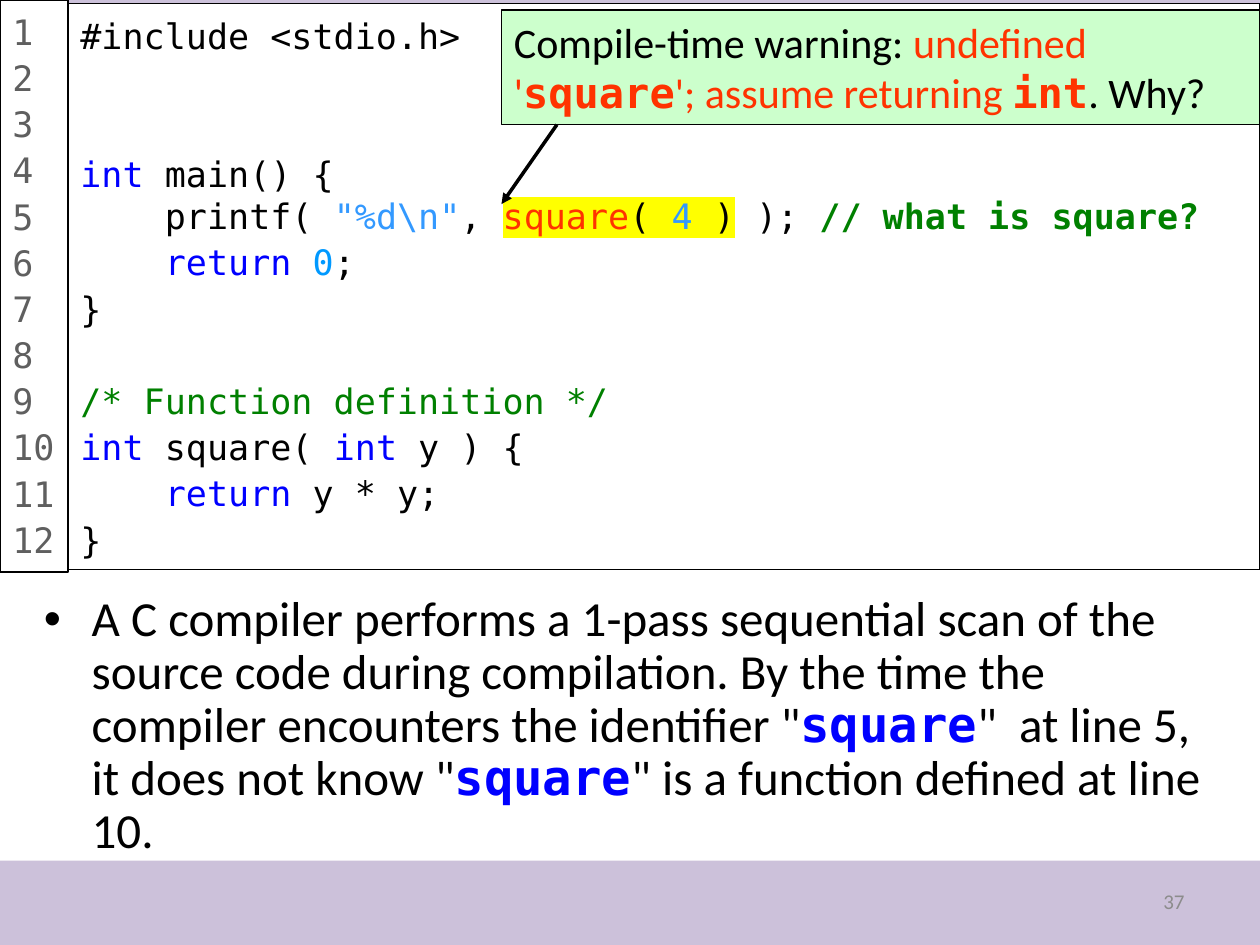
from dataclasses import dataclass
from typing import Optional

from lxml.etree import SubElement
from pptx import Presentation
from pptx.dml.color import RGBColor
from pptx.enum.shapes import MSO_CONNECTOR, MSO_SHAPE
from pptx.enum.text import MSO_ANCHOR, PP_ALIGN
from pptx.oxml import parse_xml
from pptx.oxml.ns import nsdecls, qn
from pptx.util import Inches, Pt

SANS, MONO = "Calibri", "DejaVu Sans Mono"
BLACK, GRAY, BLUE, RED = "000000", "5F5F5F", "0000FF", "FF3300"
GREEN, SKY, AZURE, YELLOW = "008000", "3399FF", "0099FF", "FFFF00"
PITCH = 26.4


@dataclass
class Run:
    """A piece of text in one format."""
    text: str
    color: str = BLACK
    bold: bool = False
    font: Optional[str] = None
    mark: Optional[str] = None


@dataclass
class Line:
    """A paragraph with its line spacing and the empty rows above it."""
    runs: list[Run]
    space: float = 1.1
    gap: int = 0


def paint(target, color: str) -> None:
    """Give a fill or a font colour from a hex string."""
    if hasattr(target, "solid"):
        target.solid()
        target = target.fore_color
    target.rgb = RGBColor.from_string(color)


def write(shape, lines: list[Line], *, size: float, font: str = SANS,
          align=PP_ALIGN.LEFT, anchor=MSO_ANCHOR.TOP, bullet: float = 0) -> None:
    """Fill a shape with formatted paragraphs."""
    frame = shape.text_frame
    frame.word_wrap = True
    frame.vertical_anchor = anchor
    for i, line in enumerate(lines):
        para = frame.add_paragraph() if i else frame.paragraphs[0]
        para.alignment, para.line_spacing = align, line.space
        if line.gap:
            para.space_before = Pt(round(line.gap * PITCH, 1))
        if bullet:
            props = para._p.get_or_add_pPr()
            props.set("marL", str(Inches(bullet)))
            props.set("indent", str(-Inches(bullet)))
            SubElement(props, qn("a:buFont"), typeface="Arial")
            SubElement(props, qn("a:buChar"), char="•")
        for part in line.runs:
            run = para.add_run()
            run.text = part.text
            face = run.font
            face.size, face.bold, face.name = Pt(size), part.bold, part.font or font
            paint(face.color, part.color)
            if part.mark:
                fill = run._r.get_or_add_rPr().find(qn("a:solidFill"))
                fill.addnext(parse_xml(
                    f'<a:highlight {nsdecls("a")}><a:srgbClr val="{part.mark}"/></a:highlight>'))


def panel(slide, x: float, y: float, w: float, h: float, color: str,
          edge: bool = True):
    """Draw a filled rectangle, with a thin black edge if wanted."""
    shape = slide.shapes.add_shape(
        MSO_SHAPE.RECTANGLE, Inches(x), Inches(y), Inches(w), Inches(h))
    shape.shadow.inherit = False
    paint(shape.fill, color)
    if edge:
        paint(shape.line.fill, BLACK)
        shape.line.width = Pt(0.75)
    else:
        shape.line.fill.background()
    return shape


def label(slide, x: float, y: float, w: float, h: float):
    """Add an empty text box."""
    return slide.shapes.add_textbox(Inches(x), Inches(y), Inches(w), Inches(h))


def arrow(slide, x: float, y: float, to_x: float, to_y: float) -> None:
    """Draw a black arrow."""
    link = slide.shapes.add_connector(
        MSO_CONNECTOR.STRAIGHT, Inches(x), Inches(y), Inches(to_x), Inches(to_y))
    paint(link.line.fill, BLACK)
    link.line.width = Pt(2)
    SubElement(link.line._get_or_add_ln(), qn("a:tailEnd"), type="triangle")
    SubElement(link._element.spPr, qn("a:effectLst"))


TAB = Run("    ", GRAY)
INT = Run("int", BLUE)
NAME = Run("square", BLUE, True, MONO)

CODE = [
    Line([Run("#include <stdio.h>")]),
    Line([INT, Run(" main() {")], gap=2),
    Line([TAB, Run("printf( "), Run('"%d\\n"', SKY), Run(", "),
          Run("square", RED, mark=YELLOW), Run("( ", mark=YELLOW),
          Run("4", SKY, mark=YELLOW), Run(" )", mark=YELLOW),
          Run(" );"), Run(" // what is square?", GREEN, True)], space=1.0),
    Line([TAB, Run("return ", BLUE), Run("0", AZURE), Run(";")]),
    Line([Run("}")]),
    Line([Run("/* Function definition */", GREEN)], gap=1),
    Line([INT, Run(" square( "), INT, Run(" y ) {")]),
    Line([TAB, Run("return", BLUE), Run(" y * y;")]),
    Line([Run("}")]),
]

NOTE = Line([
    Run("Compile-time warning: "), Run("undefined '", RED),
    Run("square", RED, True, MONO), Run("'; assume returning ", RED),
    Run("int", RED, True, MONO), Run(". Why?")], space=1.0)

BODY = Line([
    Run("A C compiler performs a 1-pass sequential scan of the source code during "
        'compilation. By the time the compiler encounters the identifier "'),
    NAME, Run('"  at line 5, it does not know "'),
    NAME, Run('" is a function defined at line 10.')], space=0.9)


def main() -> None:
    """Build the slide and save it."""
    deck = Presentation()
    deck.slide_width, deck.slide_height = Inches(10), Inches(7.5)
    slide = deck.slides.add_slide(deck.slide_layouts[6])
    for y, h in ((0, 1.08), (6.83, 0.67)):
        panel(slide, 0, y, 10, h, "CCC1DA", edge=False)
    write(label(slide, 7.17, 6.95, 2.33, 0.4), [Line([Run("37", "8C8C8C")], 1.0)],
          size=12, align=PP_ALIGN.RIGHT, anchor=MSO_ANCHOR.MIDDLE)
    write(label(slide, 0.25, 4.67, 9.5, 1.92), [BODY], size=28, bullet=0.38)
    write(panel(slide, 0.54, 0.03, 9.46, 4.49, "FFFFFF"), CODE, size=20, font=MONO)
    rows = [Line([Run(str(n), GRAY)]) for n in range(1, 13)]
    write(panel(slide, 0, 0, 0.54, 4.54, "FFFFFF"), rows, size=20, font=MONO)
    write(panel(slide, 3.98, 0.08, 6.02, 0.91, "CCFFCC"), [NOTE], size=24)
    arrow(slide, 4.42, 0.99, 3.98, 1.62)
    deck.save("out.pptx")


if __name__ == "__main__":
    main()
